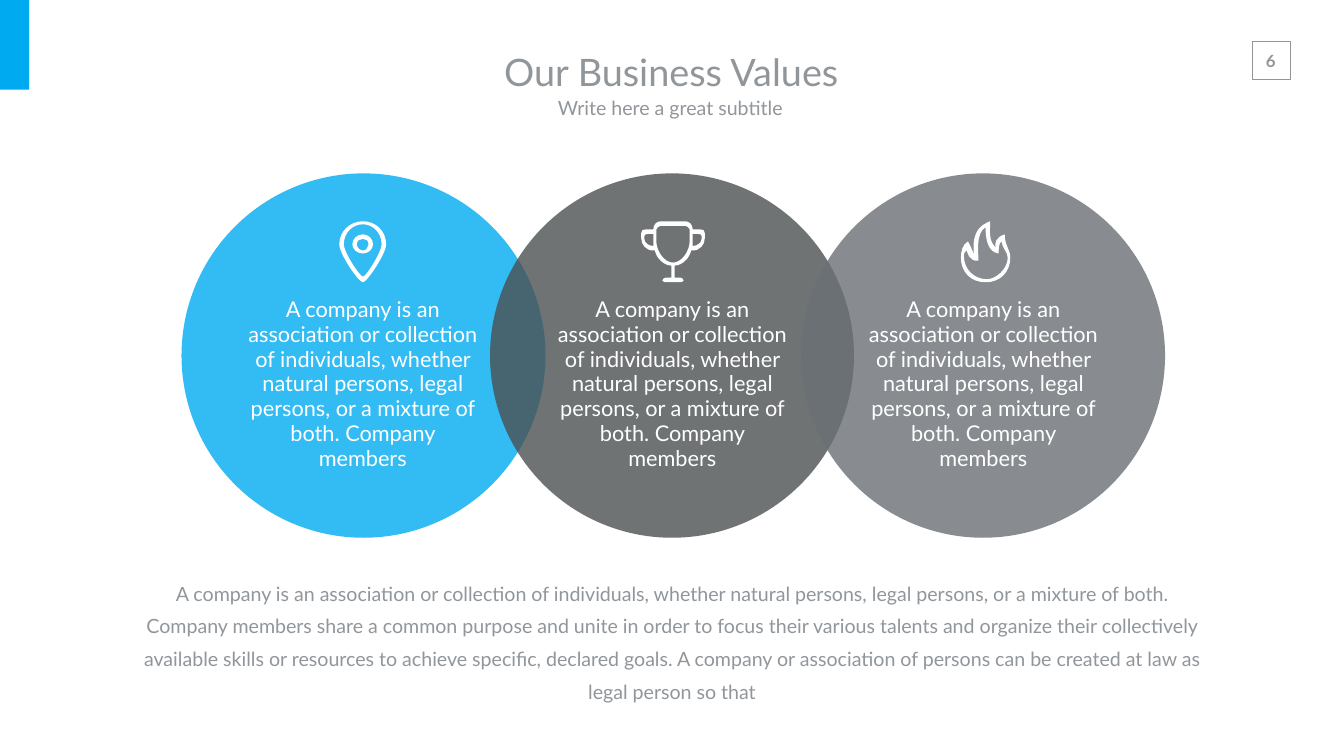
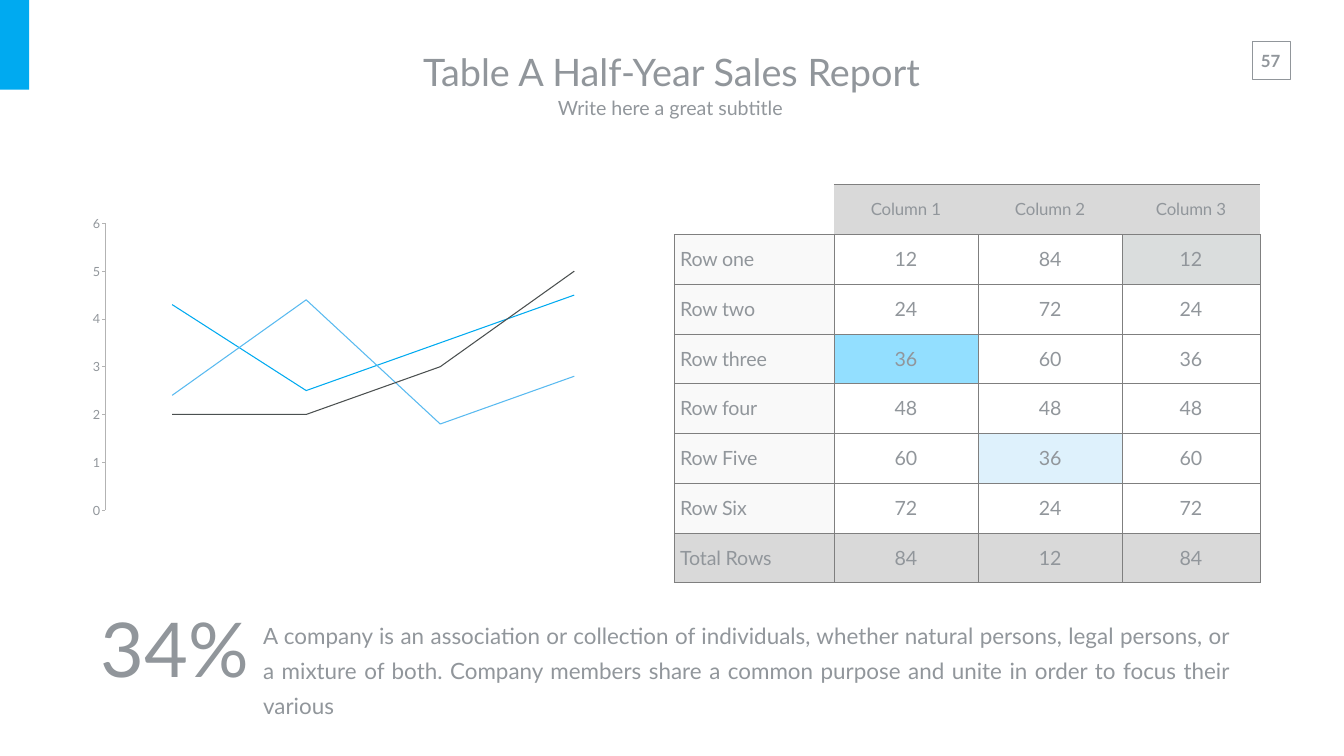
from lxml import etree
from pptx import Presentation
from pptx.chart.data import CategoryChartData
from pptx.dml.color import RGBColor
from pptx.enum.chart import XL_CHART_TYPE, XL_TICK_MARK
from pptx.enum.shapes import MSO_SHAPE
from pptx.enum.text import MSO_ANCHOR, MSO_AUTO_SIZE, PP_ALIGN
from pptx.oxml import parse_xml
from pptx.oxml.ns import nsdecls, qn
from pptx.util import Inches, Pt

LEFT, CENTER, JUSTIFY = PP_ALIGN.LEFT, PP_ALIGN.CENTER, PP_ALIGN.JUSTIFY
TOP, MIDDLE = MSO_ANCHOR.TOP, MSO_ANCHOR.MIDDLE
RECTANGLE, OVAL = MSO_SHAPE.RECTANGLE, MSO_SHAPE.OVAL
FONT = "Lato"
TITLE_ONLY = 5

COLORS = {
    "blue": "00AAF0", "sky": "59BAF0", "charcoal": "4B5050", "slate": "6B7076",
    "text": "91969B", "white": "FFFFFF", "band": "D9D9D9", "border": "7F7F7F",
    "axis": "B3B3B3", "mark_gray": "DADDDD", "mark_blue": "93DFFF",
    "mark_pale": "DEF1FC",
}

NARROW = (0.1, 0.05)
MEDIUM = (0.2, 0.1)
WIDE = (0.27, 0.13)

COMPANY = ("A company is an association or collection of individuals, whether "
           "natural persons, legal persons, or a mixture of both. Company members")
PURPOSE = COMPANY + " share a common purpose and unite in order to focus their various"
GOALS = PURPOSE + (
    " talents and organize their collectively available skills or resources to achieve "
    "specific, declared goals. A company or association of persons can be created at "
    "law as legal person so that")

# Icon contours in hundredths of an inch: pairs are line ends, sextets Bezier curves.
PIN = [
    [(47, 0), (21, 0, 0, 20, 0, 46), (0, 64, 38, 121, 47, 121),
     (55, 121, 93, 64, 93, 46), (93, 20, 73, 0, 47, 0)],
    [(47, 110), (41, 110, 9, 61, 9, 46), (9, 23, 26, 6, 47, 6),
     (67, 6, 84, 23, 84, 46), (84, 61, 53, 110, 47, 110)],
    [(47, 26), (35, 26, 26, 35, 26, 46), (26, 55, 35, 64, 47, 64),
     (58, 64, 67, 55, 67, 46), (67, 35, 58, 26, 47, 26)],
    [(47, 58), (41, 58, 35, 52, 35, 46), (35, 38, 41, 35, 47, 35),
     (53, 35, 58, 38, 58, 46), (58, 52, 53, 58, 47, 58)],
]
TROPHY = [
    [(105, 16), (105, 7, 99, 0, 90, 0), (42, 0), (33, 0, 27, 7, 27, 16),
     (0, 16, 3, 16, 3, 34), (3, 46, 12, 58, 27, 58), (30, 58),
     (33, 73, 48, 88, 63, 88), (63, 112), (51, 112), (48, 112, 45, 115, 45, 118),
     (45, 118, 48, 121, 51, 121), (81, 121), (84, 121, 87, 118, 87, 118),
     (87, 115, 84, 112, 81, 112), (69, 112), (69, 88), (84, 88, 99, 73, 102, 58),
     (105, 58), (120, 58, 129, 46, 129, 34), (129, 16, 132, 16, 105, 16)],
    [(27, 49), (18, 49, 9, 43, 9, 34), (9, 25, 9, 25, 27, 25)],
    [(99, 40), (99, 58, 84, 82, 66, 82), (48, 82, 33, 58, 33, 40), (33, 16),
     (33, 13, 39, 9, 42, 9), (90, 9), (93, 9, 99, 13, 99, 16)],
    [(105, 49), (105, 25), (123, 25, 123, 25, 123, 34), (123, 43, 114, 49, 105, 49)],
]
FLAME = [
    [(87, 26), (69, 32, 67, 43, 69, 52), (55, 38, 58, 23, 58, 0),
     (17, 15, 26, 55, 26, 69), (26, 61, 14, 40, 14, 40), (3, 46, 0, 61, 0, 72),
     (0, 101, 20, 121, 49, 121), (78, 121, 98, 101, 98, 72), (98, 55, 87, 49, 87, 26)],
    [(52, 115), (26, 115, 6, 95, 6, 69), (6, 66, 6, 61, 12, 58),
     (12, 61, 17, 81, 35, 78), (35, 64, 29, 23, 49, 12), (49, 32, 52, 61, 75, 64),
     (75, 55, 75, 43, 81, 40), (81, 52, 93, 61, 93, 72), (93, 95, 69, 115, 52, 115)],
]
# Left edges of circle, text and icon, then colour and icon
VALUES = [
    (3.6, 4.72, 6.73, "blue", PIN),
    (9.72, 10.86, 12.69, "charcoal", TROPHY),
    (15.89, 17.03, 19.06, "slate", FLAME),
]

TABLE_ROWS = [
    ("", "Column 1", "Column 2", "Column 3"),
    ("Row one", "12", "84", "12"),
    ("Row two", "24", "72", "24"),
    ("Row three", "36", "60", "36"),
    ("Row four", "48", "48", "48"),
    ("Row Five", "60", "36", "60"),
    ("Row Six", "72", "24", "72"),
    ("Total Rows", "84", "12", "84"),
]
COLUMN_WIDTHS = (3.17, 2.86, 2.86, 2.73)
HIGHLIGHTS = {(1, 3): "mark_gray", (3, 1): "mark_blue", (5, 2): "mark_pale"}

SERIES = [
    ("Series 1", (4.3, 2.5, 3.5, 4.5), "blue"),
    ("Series 2", (2.4, 4.4, 1.8, 2.8), "sky"),
    ("Series 3", (2, 2, 3, 5), "charcoal"),
]


def rgb(name):
    return RGBColor.from_string(COLORS[name])


def inches(box):
    return [Inches(length) for length in box]


def paint(fill, properties, color, opacity=100):
    """Fill solidly; properties is the XML element that holds the fill."""
    fill.solid()
    fill.fore_color.rgb = rgb(color)
    if opacity < 100:
        color_node = properties.find(qn("a:solidFill")).find(qn("a:srgbClr"))
        etree.SubElement(color_node, qn("a:alpha"), val=str(opacity * 1000))


def style_font(font, size, color="text", bold=False):
    font.name, font.size, font.bold = FONT, Pt(size), bold
    font.color.rgb = rgb(color)


def write(shape, text, size, color="text", align=CENTER, anchor=TOP,
          margins=NARROW, spacing=1.0, bold=False, wrap=True):
    frame = shape.text_frame
    frame.text = text
    frame.word_wrap = wrap
    frame.auto_size = MSO_AUTO_SIZE.SHAPE_TO_FIT_TEXT
    frame.vertical_anchor = anchor
    frame.margin_left = frame.margin_right = Inches(margins[0])
    frame.margin_top = frame.margin_bottom = Inches(margins[1])
    para = frame.paragraphs[0]
    para.alignment = align
    para.line_spacing = spacing
    style_font(para.runs[0].font, size, color, bold)


def add_text(page, box, text, size, **options):
    write(page.shapes.add_textbox(*inches(box)), text, size, **options)


def add_plain_shape(page, kind, box, color=None, opacity=100):
    shape = page.shapes.add_shape(kind, *inches(box))
    shape.shadow.inherit = False
    if color:
        paint(shape.fill, shape._element.spPr, color, opacity)
        shape.line.fill.background()
    else:
        shape.fill.background()
    return shape


def add_page(deck, title, title_box, number):
    """Add a slide with the shared title, subtitle, corner band and page number."""
    page = deck.slides.add_slide(deck.slide_layouts[TITLE_ONLY])
    heading = page.shapes.title
    heading.left, heading.top, heading.width, heading.height = inches(title_box)
    write(heading, title, 54, anchor=MIDDLE, margins=WIDE)
    add_text(page, (8.18, 1.76, 10.33, 0.74), "Write here a great subtitle ", 28,
             anchor=MIDDLE, margins=WIDE)
    add_plain_shape(page, RECTANGLE, (0, 0, 0.58, 1.78), "blue")
    frame = add_plain_shape(page, RECTANGLE, (24.84, 0.82, 0.75, 0.75))
    frame.line.color.rgb = rgb("text")
    frame.line.width = Pt(1)
    add_text(page, (24.8, 0.9, 0.81, 0.61), number, 24, margins=MEDIUM,
             bold=True, wrap=False)
    return page


def bend(line, controls):
    """Turn a straight outline segment into a Bezier curve with the given controls."""
    curve = etree.Element(qn("a:cubicBezTo"))
    for x, y in controls:
        etree.SubElement(curve, qn("a:pt"), x=str(x), y=str(y))
    curve.append(line[0])
    line.getparent().replace(line, curve)


def add_icon(page, left, top, contours):
    ends = [[segment[-2:] for segment in contour] for contour in contours]
    builder = page.shapes.build_freeform(*ends[0][0], scale=Inches(0.01))
    for index, points in enumerate(ends):
        if index:
            builder.move_to(*points[0])
        builder.add_line_segments(points[1:], close=True)
    icon = builder.convert_to_shape(Inches(left), Inches(top))
    min_x = min(x for points in ends for x, _ in points)
    min_y = min(y for points in ends for _, y in points)
    segments = [segment for contour in contours for segment in contour[1:]]
    lines = list(icon._element.spPr.iter(qn("a:lnTo")))
    for line, segment in zip(lines, segments):
        if len(segment) == 6:
            x1, y1, x2, y2 = segment[:4]
            bend(line, [(x1 - min_x, y1 - min_y), (x2 - min_x, y2 - min_y)])
    icon.shadow.inherit = False
    paint(icon.fill, icon._element.spPr, "white")
    icon.line.fill.background()


def add_value_circles(page, top):
    for circle_left, _, _, color, _ in VALUES:
        add_plain_shape(page, OVAL, (circle_left, top, 7.22, 7.23), color, 80)
    for _, text_left, _, _, _ in VALUES:
        add_text(page, (text_left, top + 2.37, 4.95, 3.68), COMPANY, 31,
                 color="white", margins=MEDIUM, spacing=0.95)
    for _, _, icon_left, _, icon in VALUES:
        add_icon(page, icon_left, top + 0.95, icon)


def add_line_chart(page, box):
    data = CategoryChartData()
    data.categories = ["1", "2", "3", "4"]
    for name, values, _ in SERIES:
        data.add_series(name, values)
    chart = page.shapes.add_chart(XL_CHART_TYPE.LINE, *inches(box), data).chart
    chart.has_legend = chart.has_title = False
    style_font(chart.font, 18)
    plot = chart.plots[0]
    plot.vary_by_categories = False
    for series, (_, _, color) in zip(plot.series, SERIES):
        series.smooth = False
        series.format.line.color.rgb = rgb(color)
        series.format.line.width = Pt(1.5)
    chart.category_axis.visible = False
    axis = chart.value_axis
    axis.has_major_gridlines = False
    axis.minimum_scale, axis.maximum_scale, axis.major_unit = 0, 6, 1
    axis.major_tick_mark = XL_TICK_MARK.OUTSIDE
    axis.format.line.color.rgb = rgb("axis")
    place_plot(chart, x=0.037, y=0.061, w=0.948, h=0.84)


def place_plot(chart, **fractions):
    """Fix the inner plot area as fractions of the chart."""
    area = chart._chartSpace.find(".//" + qn("c:plotArea"))
    for old in area.findall(qn("c:layout")):
        area.remove(old)
    sizes = "".join(f'<c:{key} val="{value}"/>' for key, value in fractions.items())
    area.insert(0, parse_xml(
        f'<c:layout {nsdecls("c")}><c:manualLayout><c:layoutTarget val="inner"/>'
        f'<c:xMode val="edge"/><c:yMode val="edge"/>{sizes}'
        '</c:manualLayout></c:layout>'))


def set_borders(cell, sides):
    properties = cell._tc.get_or_add_tcPr()
    for index, side in enumerate("LRTB"):
        ink = "<a:noFill/>"
        if side in sides:
            ink = (f'<a:solidFill><a:srgbClr val="{COLORS["border"]}">'
                   '<a:alpha val="50000"/></a:srgbClr></a:solidFill>')
        properties.insert(index, parse_xml(
            f'<a:ln{side} {nsdecls("a")} w="{Pt(0.5)}">{ink}</a:ln{side}>'))


def fill_cell(cell, row, column):
    properties = cell._tc.get_or_add_tcPr()
    if (row, column) in HIGHLIGHTS:
        paint(cell.fill, properties, HIGHLIGHTS[row, column])
    elif row == len(TABLE_ROWS) - 1 or (row == 0 and column > 0):
        paint(cell.fill, properties, "band")
    elif row and column == 0:
        paint(cell.fill, properties, "band", 15)
    else:
        cell.fill.background()


def add_sales_table(page, box):
    table = page.shapes.add_table(len(TABLE_ROWS), len(COLUMN_WIDTHS), *inches(box)).table
    table.first_row = table.horz_banding = False
    for column, width in zip(table.columns, COLUMN_WIDTHS):
        column.width = Inches(width)
    for row, texts in enumerate(TABLE_ROWS):
        table.rows[row].height = Inches(box[3] / len(TABLE_ROWS))
        for column, text in enumerate(texts):
            cell = table.cell(row, column)
            fill_cell(cell, row, column)
            set_borders(cell, "LRTB" if row else "TB" if column else "B")
            cell.vertical_anchor = MIDDLE
            cell.margin_left = cell.margin_right = Inches(0.12)
            cell.margin_top = cell.margin_bottom = Inches(0.07)
            cell.text = text
            para = cell.text_frame.paragraphs[0]
            para.alignment = CENTER if column else LEFT
            for span in para.runs:
                style_font(span.font, 28 if row else 24)
                span._r.get_or_add_rPr().set("spc", "-20")


def build_values_page(deck):
    page = add_page(deck, "Our Business Values", (8.15, 0.83, 10.33, 1.18), "6")
    add_text(page, (2.65, 11.3, 21.36, 2.05), GOALS, 28, spacing=1.4)
    add_value_circles(page, 3.44)


def build_report_page(deck):
    page = add_page(deck, "Table A Half-Year Sales Report", (5.76, 0.83, 15.12, 1.18), "57")
    add_text(page, (5.12, 12.14, 19.38, 1.47), PURPOSE, 32, align=JUSTIFY, spacing=1.3)
    add_text(page, (1.9, 11.89, 3.52, 1.92), "34%", 108, align=LEFT)
    add_sales_table(page, (13.37, 3.66, 11.63, 7.9))
    add_line_chart(page, (1.67, 4.02, 11.22, 6.77))


def main():
    deck = Presentation()
    deck.slide_width, deck.slide_height = Inches(26.66), Inches(15)
    build_values_page(deck)
    build_report_page(deck)
    deck.save("out.pptx")


if __name__ == "__main__":
    main()
